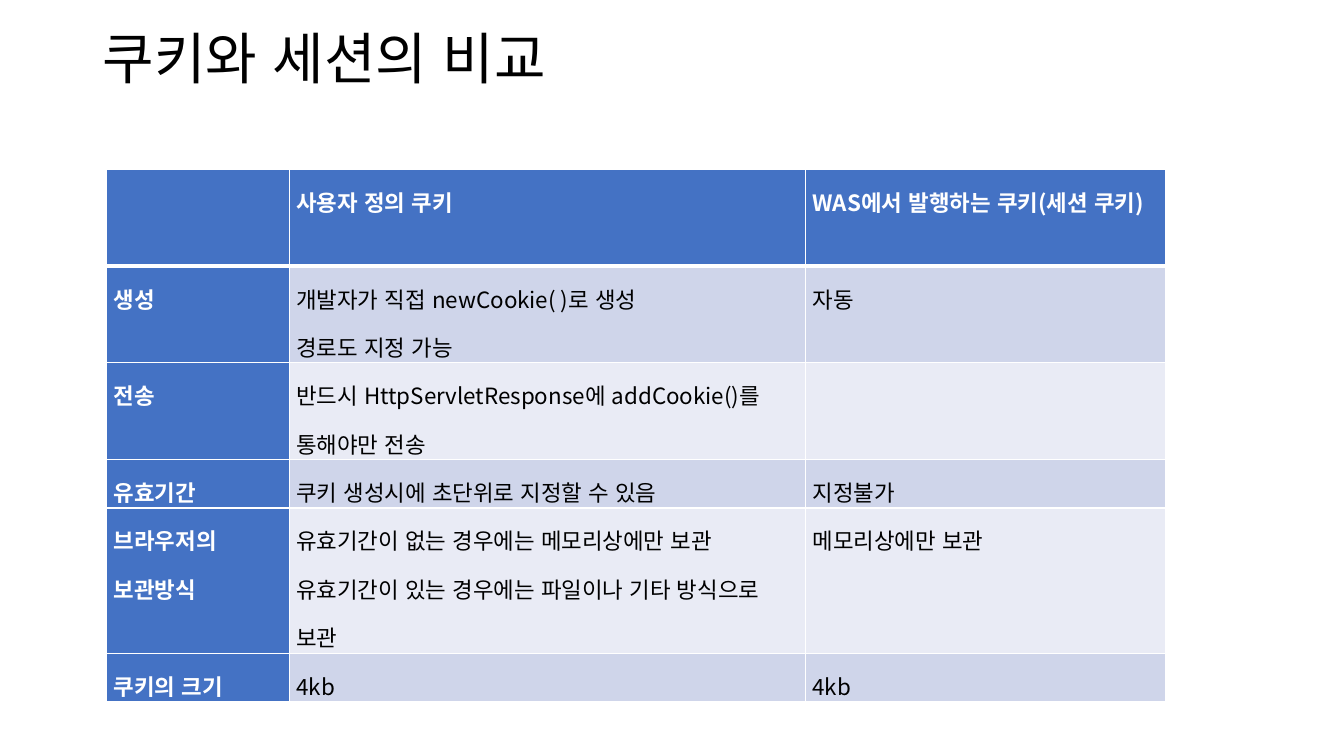
from dataclasses import dataclass

from lxml.etree import SubElement
from pptx import Presentation
from pptx.dml.color import RGBColor
from pptx.enum.lang import MSO_LANGUAGE_ID
from pptx.enum.text import MSO_ANCHOR
from pptx.oxml.ns import qn
from pptx.util import Inches, Pt


@dataclass(frozen=True)
class Theme:
    font: str = "Noto Sans CJK KR"
    title_size: int = 40
    cell_size: int = 16
    black: str = "000000"
    white: str = "FFFFFF"
    header: str = "4472C4"
    bands: tuple = ("E9EBF5", "CFD5EA")
    rule: int = 1
    header_rule: int = 3


theme = Theme()


def add_run(p, text, size, color, bold=False):
    r = p.add_run()
    r.text = text
    r.font.size = Pt(size)
    r.font.bold = bold
    r.font.language_id = MSO_LANGUAGE_ID.KOREAN
    r.font.color.rgb = RGBColor.from_string(color)
    r.font.name = theme.font
    # Hangul takes its face from the East Asian font slot
    SubElement(r.font._element, qn("a:ea"), typeface=theme.font)


def set_border(cell, side, width):
    tcPr = cell._tc.get_or_add_tcPr()
    ln = SubElement(tcPr, qn(f"a:ln{side}"), w=str(Pt(width)))
    fill = SubElement(ln, qn("a:solidFill"))
    SubElement(fill, qn("a:srgbClr"), val=theme.white)


prs = Presentation()
prs.slide_width, prs.slide_height = Inches(13.33), Inches(7.5)
s = prs.slides.add_slide(prs.slide_layouts[6])

# Title
sp = s.shapes.add_textbox(Inches(0.92), Inches(0.15), Inches(11.5), Inches(0.92))
tf = sp.text_frame
tf.word_wrap = True
tf.vertical_anchor = MSO_ANCHOR.MIDDLE
p = tf.paragraphs[0]
p.line_spacing = 0.9
add_run(p, "쿠키와 세션의 비교", theme.title_size, theme.black)

# Comparison table: each cell is a list of paragraphs
rows = [
    [[], ["사용자 정의 쿠키"], ["WAS에서 발행하는 쿠키(세션 쿠키)"]],
    [["생성"], ["개발자가 직접 newCookie( )로 생성", "경로도 지정 가능"], ["자동"]],
    [["전송"], ["반드시 HttpServletResponse에 addCookie()를 통해야만 전송"], []],
    [["유효기간"], ["쿠키 생성시에 초단위로 지정할 수 있음"], ["지정불가"]],
    [["브라우저의 보관방식"],
     ["유효기간이 없는 경우에는 메모리상에만 보관",
      "유효기간이 있는 경우에는 파일이나 기타 방식으로 보관"],
     ["메모리상에만 보관"]],
    [["쿠키의 크기"], ["4kb"], ["4kb"]],
]
col_widths = [1.81, 5.12, 3.57]
line_height = 0.48
row_heights = [line_height * lines for lines in (2, 2, 2, 1, 3, 1)]

table = s.shapes.add_table(
    len(rows), len(col_widths), Inches(1.06), Inches(1.68),
    Inches(sum(col_widths)), Inches(sum(row_heights))).table
table.first_col = True
for column, width in zip(table.columns, col_widths):
    column.width = Inches(width)
for row, height in zip(table.rows, row_heights):
    row.height = Inches(height)

for i, row in enumerate(rows):
    for j, paragraphs in enumerate(row):
        cell = table.cell(i, j)
        is_header = i == 0 or j == 0
        cell.margin_left = cell.margin_right = Inches(0.07)
        cell.margin_top = cell.margin_bottom = 0
        for side in "LRTB":
            under_header = (i, side) in ((0, "B"), (1, "T"))
            set_border(cell, side, theme.header_rule if under_header else theme.rule)
        cell.fill.solid()
        cell.fill.fore_color.rgb = RGBColor.from_string(
            theme.header if is_header else theme.bands[i % 2])
        tf = cell.text_frame
        for k, text in enumerate(paragraphs):
            p = tf.add_paragraph() if k else tf.paragraphs[0]
            p.line_spacing = 1.5
            add_run(p, text, theme.cell_size,
                    theme.white if is_header else theme.black, is_header)

prs.save("out.pptx")
